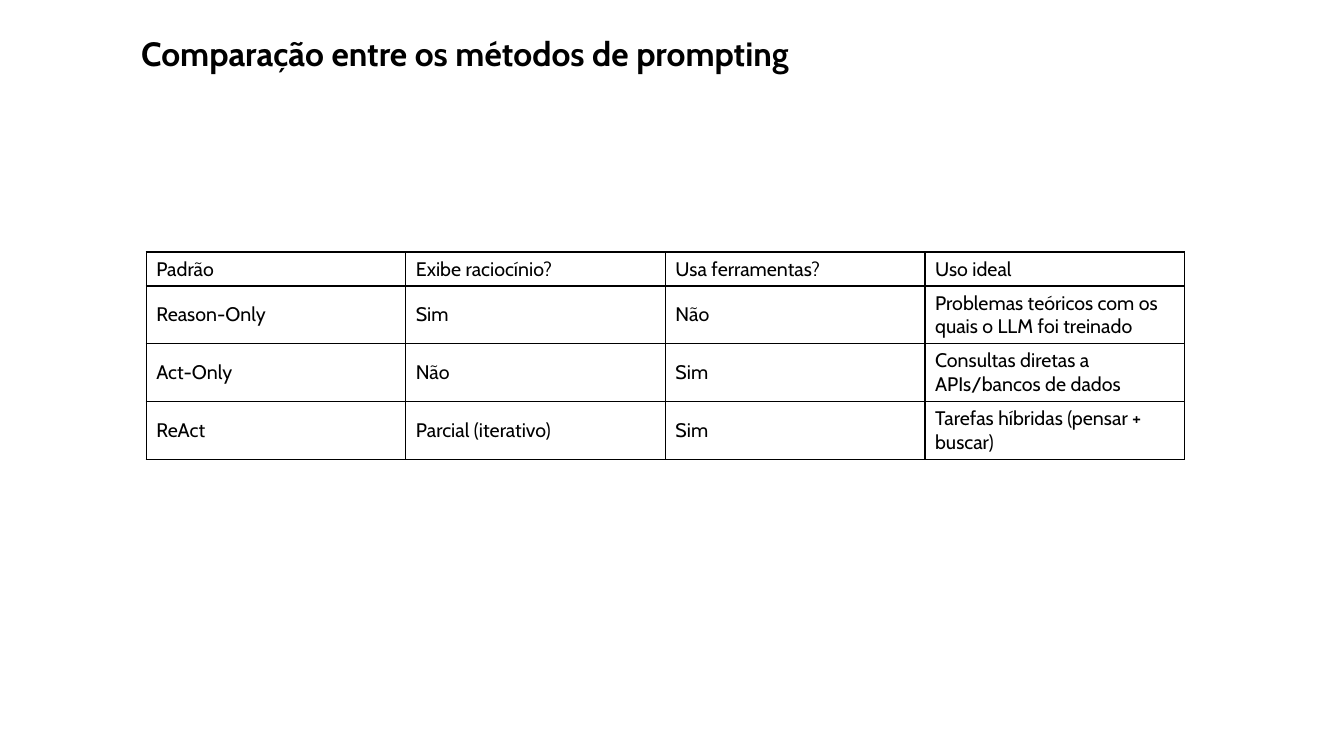
"""Build a slide comparing prompting methods in a table."""
from lxml.etree import SubElement
from pptx import Presentation
from pptx.dml.color import RGBColor
from pptx.enum.text import MSO_ANCHOR, PP_ALIGN
from pptx.oxml.ns import qn
from pptx.util import Inches, Pt

COLORS = {"text": "000000", "border": "000000"}
FONT = "Cabin"
ROWS = [
    ("Padrão", "Exibe raciocínio?", "Usa ferramentas?", "Uso ideal"),
    ("Reason-Only", "Sim", "Não", "Problemas teóricos com os quais o LLM foi treinado"),
    ("Act-Only", "Não", "Sim", "Consultas diretas a APIs/bancos de dados"),
    ("ReAct", "Parcial (iterativo)", "Sim", "Tarefas híbridas (pensar + buscar)"),
]
HEADER_HEIGHT, ROW_HEIGHT = 0.33, 0.57


def style_text(paragraph, size, bold=False):
    paragraph.alignment = PP_ALIGN.LEFT
    for span in paragraph.runs:
        span.font.name = FONT
        span.font.size = Pt(size)
        span.font.bold = bold
        span.font.color.rgb = RGBColor.from_string(COLORS["text"])


def add_borders(cell):
    properties = cell._tc.get_or_add_tcPr()
    for side in ("a:lnL", "a:lnR", "a:lnT", "a:lnB"):
        line = SubElement(properties, qn(side), w=str(Pt(1)))
        fill = SubElement(line, qn("a:solidFill"))
        SubElement(fill, qn("a:srgbClr"), val=COLORS["border"])


deck = Presentation()
deck.slide_width = Inches(13.33)
deck.slide_height = Inches(7.5)
page = deck.slides.add_slide(deck.slide_layouts[5])

title = page.shapes.title
title.left, title.top = Inches(1.3), Inches(0.28)
title.width, title.height = Inches(8.64), Inches(0.5)
title.text_frame.text = "Comparação entre os métodos de prompting"
title.text_frame.vertical_anchor = MSO_ANCHOR.TOP
style_text(title.text_frame.paragraphs[0], 24, bold=True)

table_height = HEADER_HEIGHT + ROW_HEIGHT * (len(ROWS) - 1)
table = page.shapes.add_table(
    len(ROWS), len(ROWS[0]), Inches(1.45), Inches(2.5), Inches(10.3), Inches(table_height)
).table
table.first_row = False
table.horz_banding = False

for row_index, texts in enumerate(ROWS):
    table.rows[row_index].height = Inches(ROW_HEIGHT if row_index else HEADER_HEIGHT)
    for column_index, text in enumerate(texts):
        cell = table.cell(row_index, column_index)
        cell.text_frame.text = text
        cell.vertical_anchor = MSO_ANCHOR.MIDDLE
        style_text(cell.text_frame.paragraphs[0], 14)
        add_borders(cell)
        cell.fill.background()

deck.save("out.pptx")
